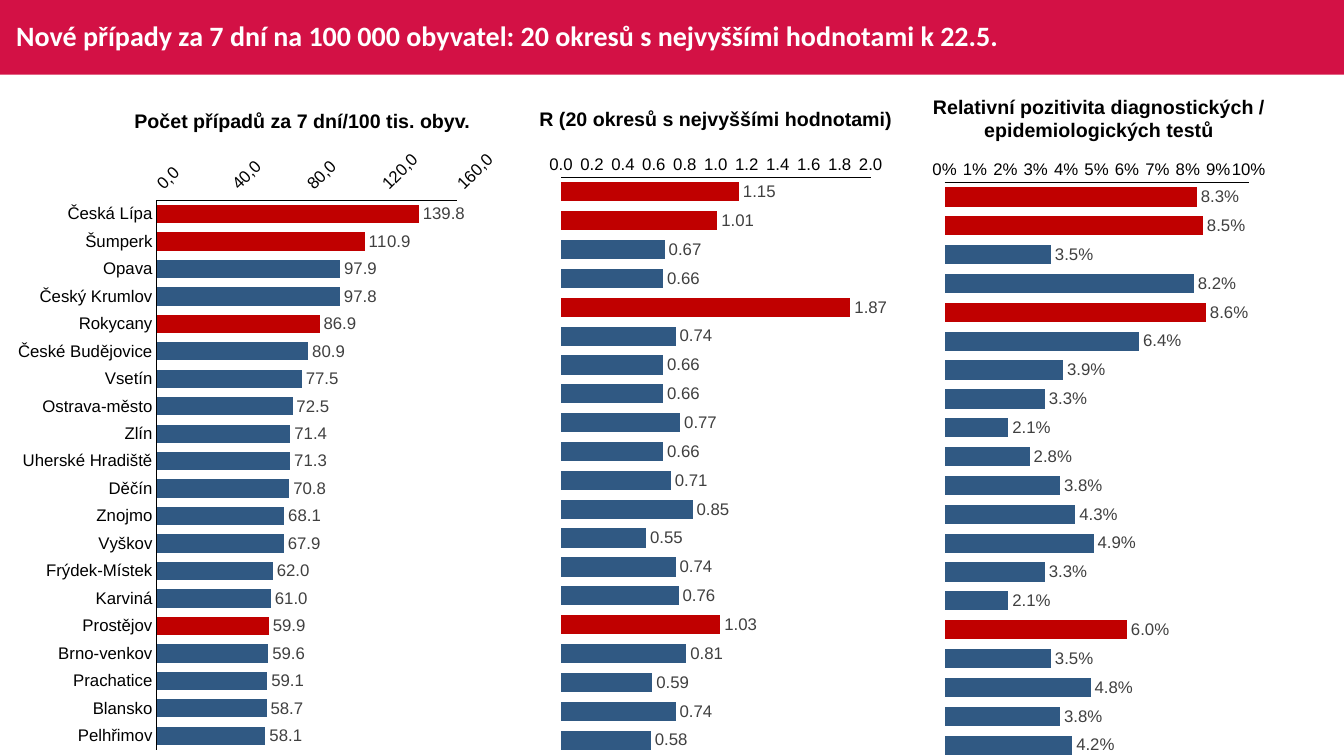
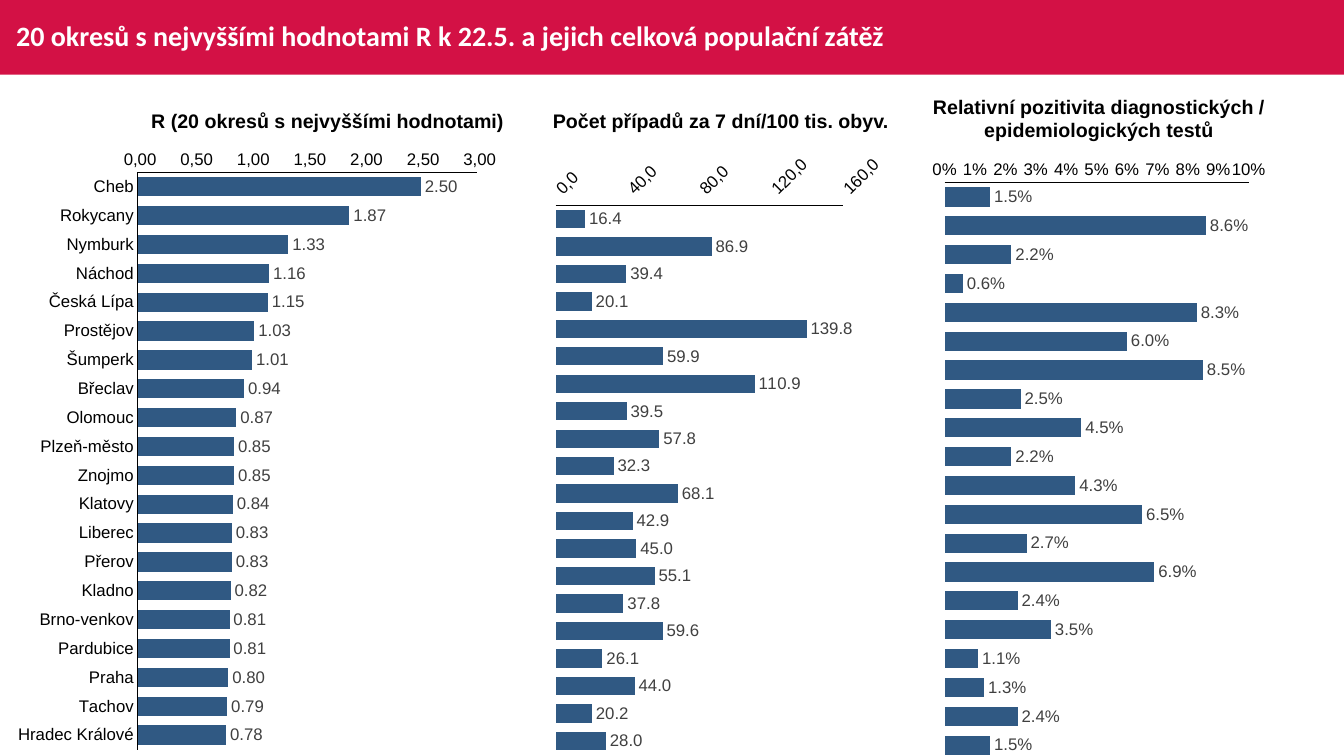
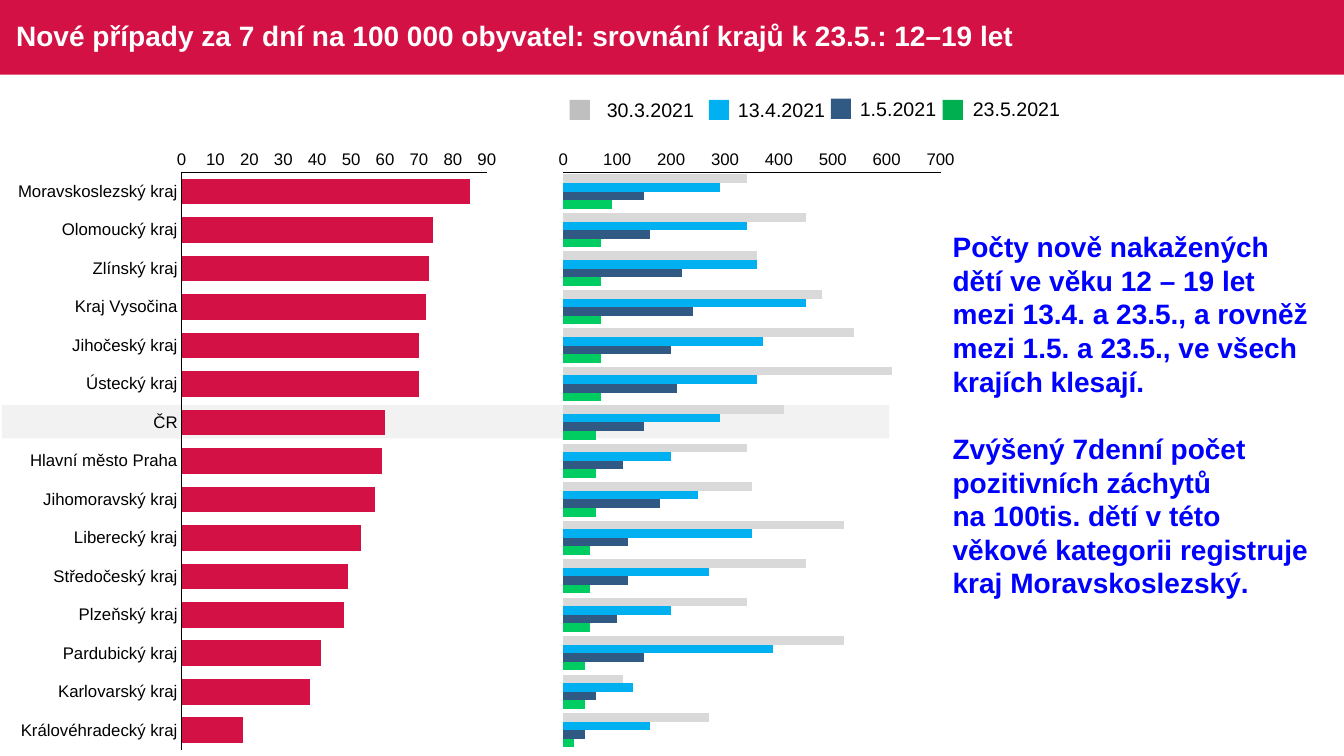
from dataclasses import dataclass

from pptx import Presentation
from pptx.chart.data import CategoryChartData
from pptx.dml.color import RGBColor
from pptx.enum.chart import XL_CHART_TYPE, XL_LABEL_POSITION, XL_TICK_MARK
from pptx.enum.shapes import MSO_SHAPE
from pptx.enum.text import MSO_ANCHOR, PP_ALIGN
from pptx.util import Inches, Pt

BAR = XL_CHART_TYPE.BAR_CLUSTERED
OUTSIDE = XL_LABEL_POSITION.OUTSIDE_END
NO_TICK = XL_TICK_MARK.NONE
RECT = MSO_SHAPE.RECTANGLE
MIDDLE = MSO_ANCHOR.MIDDLE
LEFT, CENTER = PP_ALIGN.LEFT, PP_ALIGN.CENTER

CRIMSON = RGBColor(0xD3, 0x11, 0x45)
RED = RGBColor(0xC0, 0x00, 0x00)
NAVY = RGBColor(0x30, 0x59, 0x83)
SKY = RGBColor(0x00, 0xB0, 0xF0)
GREEN = RGBColor(0x00, 0xCD, 0x61)
KEY_GREEN = RGBColor(0x00, 0xB0, 0x50)
SILVER = RGBColor(0xD9, 0xD9, 0xD9)
KEY_SILVER = RGBColor(0xBF, 0xBF, 0xBF)
PALE = RGBColor(0xF2, 0xF2, 0xF2)
LABEL_GRAY = RGBColor(0x40, 0x40, 0x40)
BLUE = RGBColor(0x00, 0x00, 0xFF)
BLACK = RGBColor(0x00, 0x00, 0x00)
WHITE = RGBColor(0xFF, 0xFF, 0xFF)

WIDTH, HEIGHT, BAND_HEIGHT = 13.33, 7.5, 0.74
CHART_HEIGHT = 6.19
LEFT_CHART = (0.08, 1.37, 4.94, CHART_HEIGHT)
MIDDLE_CHART = (5.38, 1.42, 3.44, CHART_HEIGHT)
RIGHT_CHART = (9.18, 1.47, 3.44, CHART_HEIGHT)
REGION_CHART = (5.46, 1.37, 4.09, CHART_HEIGHT)

CASES_HEADING = "Počet případů za 7 dní/100 tis. obyv."
R_HEADING = "R (20 okresů s nejvyššími hodnotami)"
POSITIVITY_HEADING = "Relativní pozitivita diagnostických / epidemiologických testů"


@dataclass
class Scale:
    """Value axis range and the number formats that go with it."""
    top: float
    step: float
    axis_format: str = "General"
    label_format: str = ""
    slanted: bool = False


CASES = Scale(160, 40, r"[$-10405]#\ ##0.0;\(#\ ##0.0\)", "#,##0.0", True)
R_RANKED = Scale(3, 0.5, r"[$-10405]#\ ##0.00;\(#\ ##0.00\)", "#,##0.00")
R_BESIDE = Scale(2, 0.2, "#,##0.0", "#,##0.00")
POSITIVITY = Scale(0.1, 0.01, "0%", "0.0%")
REGION_NOW = Scale(90, 10)
REGION_TREND = Scale(700, 100)

CASES_DISTRICTS = [
    "Česká Lípa", "Šumperk", "Opava", "Český Krumlov", "Rokycany",
    "České Budějovice", "Vsetín", "Ostrava-město", "Zlín", "Uherské Hradiště",
    "Děčín", "Znojmo", "Vyškov", "Frýdek-Místek", "Karviná", "Prostějov",
    "Brno-venkov", "Prachatice", "Blansko", "Pelhřimov"]
CASES_TOP = [139.8, 110.9, 97.9, 97.8, 86.9, 80.9, 77.5, 72.5, 71.4, 71.3,
             70.8, 68.1, 67.9, 62, 61, 59.9, 59.6, 59.1, 58.7, 58.1]
CASES_TOP_R = [1.15, 1.01, 0.67, 0.66, 1.87, 0.74, 0.66, 0.66, 0.77, 0.66,
               0.71, 0.85, 0.55, 0.74, 0.76, 1.03, 0.81, 0.59, 0.74, 0.58]
CASES_TOP_POSITIVITY = [
    0.083, 0.085, 0.035, 0.082, 0.086, 0.064, 0.039, 0.033, 0.021, 0.028,
    0.038, 0.043, 0.049, 0.033, 0.021, 0.06, 0.035, 0.048, 0.038, 0.042]
CASES_ALERTS = (0, 1, 4, 15)

R_DISTRICTS = [
    "Cheb", "Rokycany", "Nymburk", "Náchod", "Česká Lípa", "Prostějov",
    "Šumperk", "Břeclav", "Olomouc", "Plzeň-město", "Znojmo", "Klatovy",
    "Liberec", "Přerov", "Kladno", "Brno-venkov", "Pardubice", "Praha",
    "Tachov", "Hradec Králové"]
R_TOP = [2.5, 1.87, 1.33, 1.16, 1.15, 1.03, 1.01, 0.94, 0.87, 0.85,
         0.85, 0.84, 0.83, 0.83, 0.82, 0.81, 0.81, 0.8, 0.79, 0.78]
R_TOP_CASES = [16.4, 86.9, 39.4, 20.1, 139.8, 59.9, 110.9, 39.5, 57.8, 32.3,
               68.1, 42.9, 45, 55.1, 37.8, 59.6, 26.1, 44, 20.2, 28]
R_TOP_POSITIVITY = [
    0.015, 0.086, 0.022, 0.006, 0.083, 0.06, 0.085, 0.025, 0.045, 0.022,
    0.043, 0.065, 0.027, 0.069, 0.024, 0.035, 0.011, 0.013, 0.024, 0.015]

REGIONS = [
    "Moravskoslezský kraj", "Olomoucký kraj", "Zlínský kraj", "Kraj Vysočina",
    "Jihočeský kraj", "Ústecký kraj", "ČR", "Hlavní město Praha",
    "Jihomoravský kraj", "Liberecký kraj", "Středočeský kraj",
    "Plzeňský kraj", "Pardubický kraj", "Karlovarský kraj",
    "Královéhradecký kraj"]
REGION_CASES = [85, 74, 73, 72, 70, 70, 60, 59, 57, 53, 49, 48, 41, 38, 18]
REGION_DATES = [
    ([340, 450, 360, 480, 540, 610, 410, 340, 350, 520, 450, 340, 520, 110,
      270], SILVER),
    ([290, 340, 360, 450, 370, 360, 290, 200, 250, 350, 270, 200, 390, 130,
      160], SKY),
    ([150, 160, 220, 240, 200, 210, 150, 110, 180, 120, 120, 100, 150, 60,
      40], NAVY),
    ([90, 70, 70, 70, 70, 70, 60, 60, 60, 50, 50, 50, 40, 40, 20], GREEN)]

# label, colour, left and top of the swatch, left and top of the label
DATE_KEYS = [
    ("30.3.2021", KEY_SILVER, 5.65, 0.99, 5.92, 0.92),
    ("13.4.2021", SKY, 7.03, 0.99, 7.22, 0.92),
    ("1.5.2021", NAVY, 8.24, 0.98, 8.43, 0.91),
    ("23.5.2021", KEY_GREEN, 9.35, 0.99, 9.55, 0.91)]

COMMENTARY = [
    "Počty nově nakažených dětí ve věku 12 – 19 let mezi 13.4. a 23.5., "
    "a rovněž mezi 1.5. a 23.5., ve všech krajích klesají.",
    "Zvýšený 7denní počet pozitivních záchytů \vna 100tis. dětí v této "
    "věkové kategorii registruje kraj Moravskoslezský."]


def place(box):
    return [Inches(length) for length in box]


def set_font(font, size, color=BLACK, bold=False, name="Arial"):
    values = {"size": Pt(size), "bold": bold, "name": name}
    for attribute, value in values.items():
        setattr(font, attribute, value)
    font.color.rgb = color


def add_block(slide, box, color):
    block = slide.shapes.add_shape(RECT, *place(box))
    block.shadow.inherit = False
    block.fill.solid()
    block.fill.fore_color.rgb = color
    block.line.fill.background()
    return block


def add_text(slide, box, paragraphs, size=14, color=BLACK, bold=False,
             align=LEFT, wrap=False, gap=0):
    frame = slide.shapes.add_textbox(*place(box)).text_frame
    frame.word_wrap = wrap
    for index, text in enumerate(paragraphs):
        paragraph = frame.add_paragraph() if index else frame.paragraphs[0]
        paragraph.text = text
        paragraph.alignment = align
        if index:
            paragraph.space_before = Pt(gap)
        set_font(paragraph.font, size, color, bold)


def add_heading(slide, box, text, wrap=False):
    add_text(slide, box, [text], bold=True, align=CENTER, wrap=wrap)


def add_band(layout, slide):
    """Put the title band on the layout, so that every slide shows it."""
    band = add_block(slide, (0, 0, WIDTH, BAND_HEIGHT), CRIMSON)
    layout.element.cSld.spTree.insert(2, band.element)


def add_title(slide, text, font_name="Calibri"):
    title = slide.shapes.title
    title.left, title.top, title.width, title.height = place(
        (0.06, 0, 12.01, BAND_HEIGHT))
    frame = title.text_frame
    frame.text = text
    frame.vertical_anchor = MIDDLE
    paragraph = frame.paragraphs[0]
    paragraph.alignment = LEFT
    paragraph.line_spacing = 0.9
    set_font(paragraph.font, 20, WHITE, True, font_name)


def style_axis(axis):
    axis.has_major_gridlines = False
    axis.major_tick_mark = axis.minor_tick_mark = NO_TICK
    axis.format.line.color.rgb = BLACK
    axis.format.line.width = Pt(0.75)
    set_font(axis.tick_labels.font, 12)


def add_bars(slide, box, scale, series, categories=None, alerts=()):
    """Add bars from (values, colour) pairs; without categories the axis is hidden."""
    data = CategoryChartData()
    count = len(series[0][0])
    data.categories = categories or [str(n + 1) for n in range(count)]
    for number, (values, _) in enumerate(series, 1):
        data.add_series(f"Series {number}", values)
    chart = slide.shapes.add_chart(BAR, *place(box), data).chart
    chart.has_legend = chart.has_title = False
    set_font(chart.font, 10)

    style_axis(chart.category_axis)
    chart.category_axis.reverse_order = True
    chart.category_axis.visible = bool(categories)
    value_axis = chart.value_axis
    style_axis(value_axis)
    value_axis.minimum_scale, value_axis.maximum_scale = 0, scale.top
    value_axis.major_unit = scale.step
    value_axis.tick_labels.number_format = scale.axis_format
    value_axis.tick_labels.number_format_is_linked = False
    if scale.slanted:
        chart.element.xpath("//c:valAx/c:txPr/a:bodyPr")[0].set("rot", "-2700000")

    plot = chart.plots[0]
    plot.gap_width, plot.overlap, plot.vary_by_categories = 50, 0, False
    for bars, (_, color) in zip(plot.series, series):
        bars.invert_if_negative = False
        bars.format.fill.solid()
        bars.format.fill.fore_color.rgb = color
        for index in alerts:
            fill = bars.points[index].format.fill
            fill.solid()
            fill.fore_color.rgb = RED
        if scale.label_format:
            labels = bars.data_labels
            labels.show_value = True
            labels.position = OUTSIDE
            labels.number_format = scale.label_format
            labels.number_format_is_linked = False
            set_font(labels.font, 12, LABEL_GRAY)


def add_districts(slide, districts, panels, alerts=()):
    """Add three charts side by side, the first with the district names."""
    boxes = (LEFT_CHART, MIDDLE_CHART, RIGHT_CHART)
    names = (districts, None, None)
    for box, (scale, values), categories in zip(boxes, panels, names):
        add_bars(slide, box, scale, [(values, NAVY)], categories, alerts)
    add_heading(slide, (9.02, 0.89, 3.76, 0.57), POSITIVITY_HEADING, wrap=True)


def fill_cases_slide(slide):
    add_title(slide, "Nové případy za 7 dní na 100 000 obyvatel: "
                     "20 okresů s nejvyššími hodnotami k 22.5.")
    add_districts(slide, CASES_DISTRICTS,
                  [(CASES, CASES_TOP), (R_BESIDE, CASES_TOP_R),
                   (POSITIVITY, CASES_TOP_POSITIVITY)], CASES_ALERTS)
    add_heading(slide, (1.23, 1.03, 3.54, 0.34), CASES_HEADING)
    add_heading(slide, (5.22, 1.01, 3.76, 0.34), R_HEADING)


def fill_r_slide(slide):
    add_title(slide, "20 okresů s nejvyššími hodnotami R k 22.5. "
                     "a jejich celková populační zátěž")
    add_districts(slide, R_DISTRICTS,
                  [(R_RANKED, R_TOP), (CASES, R_TOP_CASES),
                   (POSITIVITY, R_TOP_POSITIVITY)])
    add_heading(slide, (1.37, 1.03, 3.76, 0.34), R_HEADING)
    add_heading(slide, (5.38, 1.03, 3.54, 0.34), CASES_HEADING)


def fill_regions_slide(slide):
    add_title(slide, "Nové případy za 7 dní na 100 000 obyvatel: "
                     "srovnání krajů k 23.5.: 12–19 let", "Arial")
    add_block(slide, (0.02, 4.02, 8.8, 0.33), PALE)
    add_bars(slide, LEFT_CHART, REGION_NOW, [(REGION_CASES, CRIMSON)], REGIONS)
    add_bars(slide, REGION_CHART, REGION_TREND, REGION_DATES)
    for date, color, key_left, key_top, left, top in DATE_KEYS:
        add_block(slide, (key_left, key_top, 0.2, 0.2), color)
        add_text(slide, (left, top, 1.07, 0.34), [date])
    add_text(slide, (9.35, 2.23, 3.75, 4.48), COMMENTARY, size=20, color=BLUE,
             bold=True, wrap=True, gap=24)


def main():
    deck = Presentation()
    deck.slide_width, deck.slide_height = Inches(WIDTH), Inches(HEIGHT)
    layout = deck.slide_layouts[5]
    fillers = (fill_cases_slide, fill_r_slide, fill_regions_slide)
    slides = [deck.slides.add_slide(layout) for _ in fillers]
    add_band(layout, slides[0])
    for fill_slide, slide in zip(fillers, slides):
        fill_slide(slide)
    deck.save("out.pptx")


if __name__ == "__main__":
    main()
